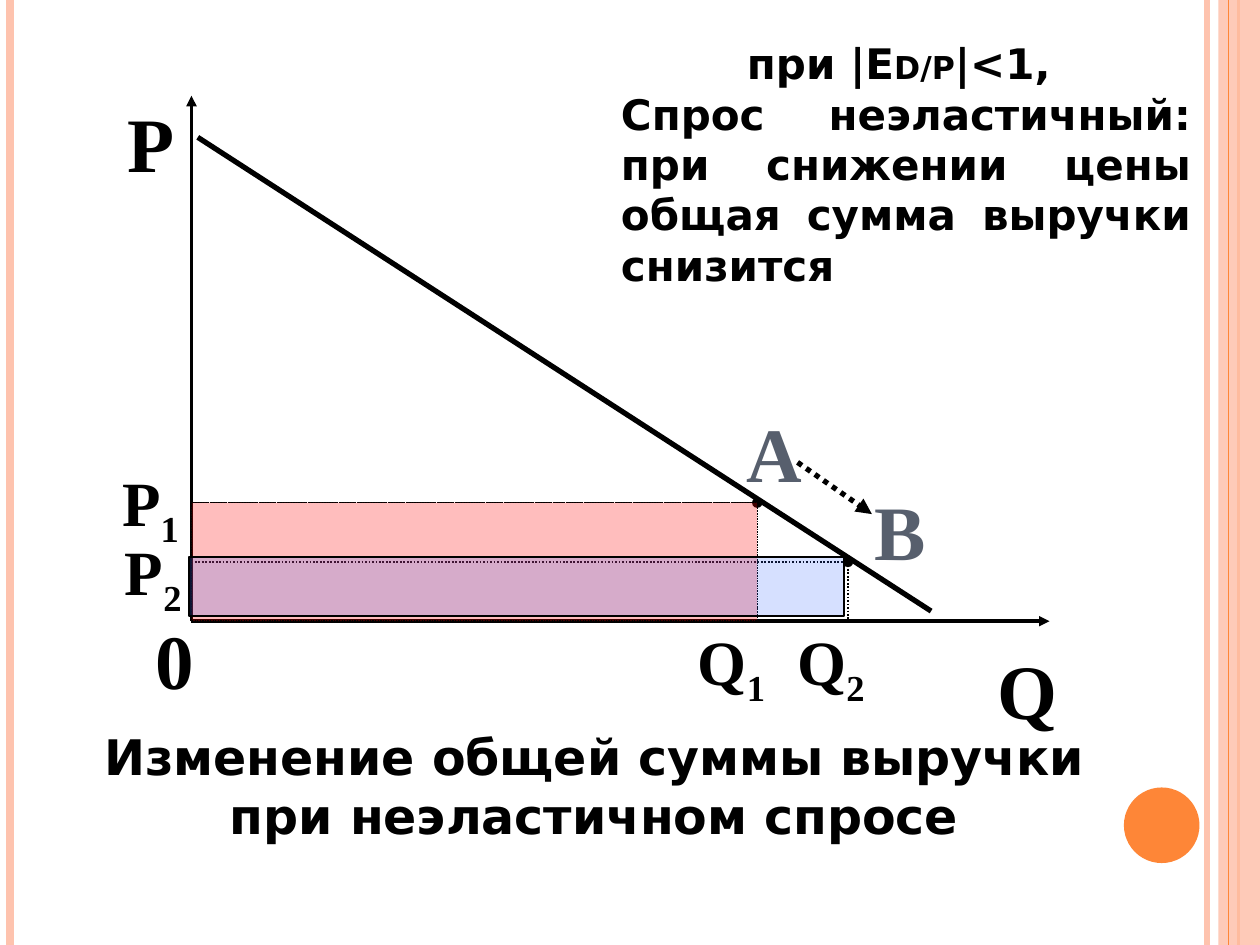
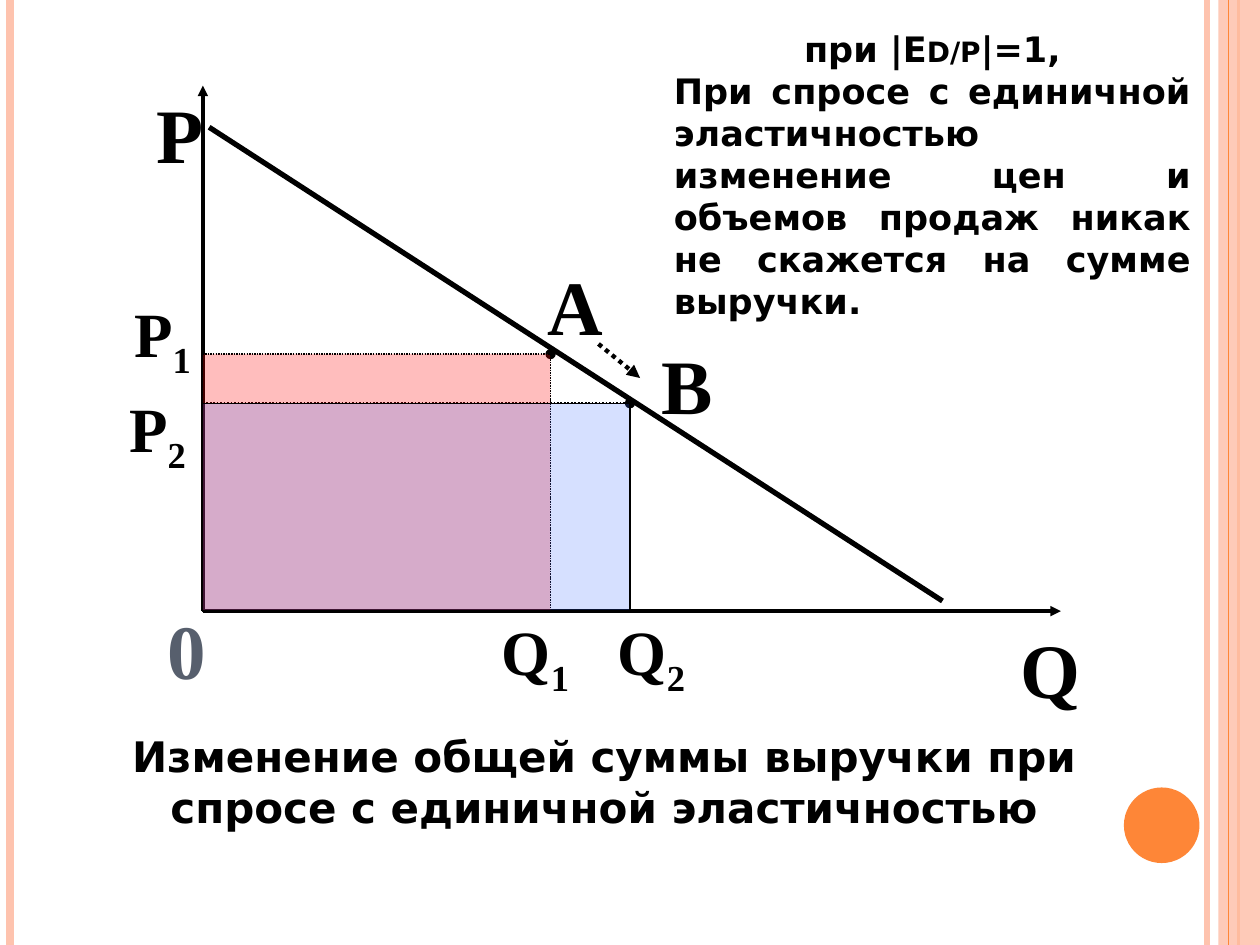
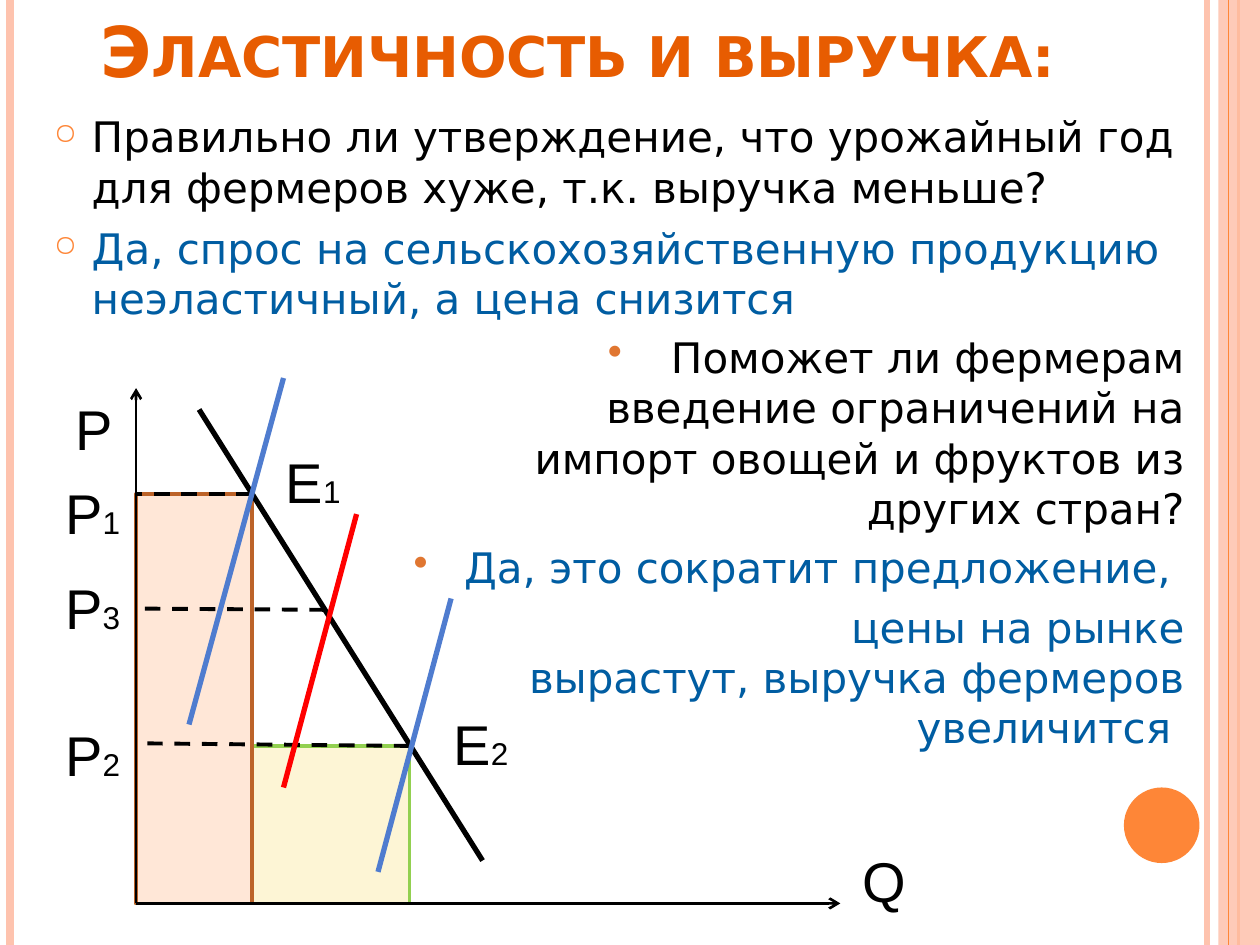
from lxml import etree
from pptx import Presentation
from pptx.dml.color import RGBColor
from pptx.enum.dml import MSO_LINE
from pptx.enum.shapes import MSO_CONNECTOR, MSO_SHAPE
from pptx.enum.text import MSO_ANCHOR, MSO_AUTO_SIZE, PP_ALIGN
from pptx.oxml.ns import qn
from pptx.util import Inches, Pt

INK = {
    "black": "000000", "slate": "575F6D", "pink": "FEC3AE", "orange": "FE8637",
    "title": "E75C01", "answer": "005DA2", "dot": "E07631", "red": "FF0000",
    "blue": "3366FF", "supply": "4F7CCF", "cream": "FDF5D5", "green": "92D050",
    "peach": "FFE7D7", "rust": "BC6329",
}
SANS, SERIF, ARIAL = "DejaVu Sans", "Times New Roman", "Arial"
DOT, DASH = MSO_LINE.ROUND_DOT, MSO_LINE.DASH
TIGHT = (0.02, 0.01)
ROOMY = (0.1, 0.05)


def color(name):
    return RGBColor.from_string(INK[name])


# Lines and shapes
def line(slide, start, end, width, ink="black", dash=None, head=None, tail=None):
    ends = [Inches(v) for v in (*start, *end)]
    link = slide.shapes.add_connector(MSO_CONNECTOR.STRAIGHT, *ends)
    link.line.color.rgb = color(ink)
    link.line.width = Pt(width)
    if dash:
        link.line.dash_style = dash
    stroke = link._element.spPr.find(qn("a:ln"))
    for tag, kind in (("a:headEnd", head), ("a:tailEnd", tail)):
        if kind:
            etree.SubElement(stroke, qn(tag)).set("type", kind)
    etree.SubElement(link._element.spPr, qn("a:effectLst"))


def block(slide, box, fill, alpha=None, edge=None, width=0.75, dash=None,
          kind=MSO_SHAPE.RECTANGLE):
    shape = slide.shapes.add_shape(kind, *[Inches(v) for v in box])
    shape.shadow.inherit = False
    shape.fill.solid()
    shape.fill.fore_color.rgb = color(fill)
    if alpha:
        tint = shape._element.spPr.find(qn("a:solidFill"))[0]
        etree.SubElement(tint, qn("a:alpha")).set("val", str(alpha * 1000))
    if edge:
        shape.line.color.rgb = color(edge)
        shape.line.width = Pt(width)
        if dash:
            shape.line.dash_style = dash
    else:
        shape.line.fill.background()


# Text
def frame(slide, box, inset=ROOMY, wrap=True):
    text = slide.shapes.add_textbox(*[Inches(v) for v in box]).text_frame
    text.word_wrap = wrap
    if not wrap:
        text.auto_size = MSO_AUTO_SIZE.SHAPE_TO_FIT_TEXT
    text.margin_left = text.margin_right = Inches(inset[0])
    text.margin_top = text.margin_bottom = Inches(inset[1])
    return text


def style(para, face, size, ink="black", bold=False, align=PP_ALIGN.LEFT):
    para.alignment = align
    para.font.name = face
    para.font.size = Pt(size)
    para.font.bold = bold
    para.font.color.rgb = color(ink)


def label(slide, box, name, size=44, ink="black", inset=TIGHT):
    """Serif letter; a second character becomes a subscript."""
    para = frame(slide, box, inset).paragraphs[0]
    style(para, SERIF, size, ink, True, PP_ALIGN.CENTER)
    para.add_run().text = name[0]
    if name[1:]:
        sub = para.add_run()
        sub.text = name[1:]
        sub._r.get_or_add_rPr().set("baseline", "-25000")


def tag(slide, box, name):
    """Arial letter; a second character is set smaller."""
    para = frame(slide, box, wrap=False).paragraphs[0]
    style(para, ARIAL, 32)
    for char, size in zip(name, (32, 18)):
        run = para.add_run()
        run.text = char
        run.font.size = Pt(size)


def caption(slide, box, words, size):
    para = frame(slide, box).paragraphs[0]
    para.text = words
    style(para, SANS, size, bold=True, align=PP_ALIGN.CENTER)


def claim(slide, box, sign, words, size, small, align, indent=0):
    """Elasticity condition above its justified explanation."""
    text = frame(slide, box)
    top, rest = text.paragraphs[0], text.add_paragraph()
    style(top, SANS, size, bold=True, align=align)
    top._p.get_or_add_pPr().set("indent", str(Inches(indent)))
    for part, height in (("при |E", size), ("D/P", small), (sign, size)):
        run = top.add_run()
        run.text = part
        run.font.size = Pt(height)
    rest.text = words
    style(rest, SANS, size, bold=True, align=PP_ALIGN.JUSTIFY)


def bullet(para, left, hang, char=None, ink="orange", scale=100):
    props = para._p.get_or_add_pPr()
    props.set("marL", str(Inches(left)))
    props.set("indent", str(Inches(-hang)))
    if char:
        # Bullet marks must come before the default run properties
        marks = [etree.Element(qn(n)) for n in ("a:buClr", "a:buSzPct", "a:buChar")]
        etree.SubElement(marks[0], qn("a:srgbClr")).set("val", INK[ink])
        marks[1].set("val", str(scale * 1000))
        marks[2].set("char", char)
        last = props.find(qn("a:defRPr"))
        for mark in marks:
            last.addprevious(mark)


# Bands and disc on every slide
def decor(slide):
    for x, width, ink in ((9.58, 3, "pink"), (0.08, 4.5, "pink"), (9.83, 1.5, "orange")):
        line(slide, (x, 0), (x, 7.5), width, ink)
    block(slide, (9.67, 0, 0.33, 7.5), "pink", 87)
    line(slide, (9.75, 0), (9.75, 7.5), 0.75, "orange")
    block(slide, (8.92, 6.25, 0.6, 0.6), "orange", kind=MSO_SHAPE.OVAL)


# Demand graph with revenue areas at points A and B
def graph(slide, zero, a, b, area):
    x, y = zero
    for end in ((x, y - 4.17), (x + 6.81, y)):
        line(slide, zero, end, 2, tail="triangle")
    line(slide, (x + 0.05, y - 3.84), (x + 5.87, y - 0.08), 3)
    for (q, p), width in ((a, 0.75), (b, 1)):
        line(slide, (x, p), (q, p), width, dash=DOT, tail="oval")
        line(slide, (q, p), (q, y), width, dash=DOT)
    block(slide, (x, a[1], a[0] - x, y - a[1]), "red", 26, "black", dash=DOT)
    block(slide, area, "blue", 20, "black")


def labels(slide, spots):
    for name, left, top, width in spots:
        label(slide, (left, top, width, 0.63), name, 36 if name[1:] else 44)


def rigid(deck):
    slide = deck.slides.add_slide(deck.slide_layouts[6])
    decor(slide)
    graph(slide, (1.52, 4.93), (6.01, 3.99), (6.73, 4.46), (1.5, 4.42, 5.2, 0.47))
    labels(slide, (
        ("P", 0.99, 0.75, 0.36), ("P1", 0.9, 3.67, 0.59), ("P2", 0.92, 4.22, 0.59),
        ("0", 1.21, 4.85, 0.36), ("Q1", 5.4, 4.93, 0.81), ("Q2", 6.25, 4.93, 0.69),
        ("Q", 7.9, 5.09, 0.36)))
    label(slide, (6.92, 3.83, 0.36, 0.62), "B", ink="slate")
    line(slide, (6.33, 3.67), (6.92, 4.08), 3, dash=DOT, tail="triangle")
    label(slide, (5.83, 3.17, 0.55, 0.4), "А", ink="slate", inset=ROOMY)
    caption(slide, (0.5, 5.72, 8.43, 1.04),
            "Изменение общей суммы выручки при неэластичном спросе", 28)
    claim(slide, (4.83, 0.25, 4.72, 2.12), "|<1,",
          "Cпрос неэластичный: при снижении цены общая сумма выручки снизится",
          24, 18, PP_ALIGN.LEFT, 1)


def unit(deck):
    slide = deck.slides.add_slide(deck.slide_layouts[6])
    decor(slide)
    graph(slide, (1.61, 4.85), (4.37, 2.81), (5, 3.2), (1.61, 3.2, 3.39, 1.65))
    labels(slide, (
        ("P", 1.22, 0.68, 0.36), ("P1", 1, 2.33, 0.58), ("P2", 0.92, 3.08, 0.66),
        ("Q1", 3.92, 4.85, 0.66), ("Q2", 4.84, 4.85, 0.66), ("Q", 8.08, 4.92, 0.36)))
    label(slide, (1.3, 4.77, 0.36, 0.63), "0", ink="slate")
    label(slide, (5.23, 2.67, 0.27, 0.43), "B")
    line(slide, (4.75, 2.73), (5.08, 3), 2.5, dash=DOT, tail="triangle")
    label(slide, (4.25, 2, 0.47, 0.84), "А", inset=ROOMY)
    caption(slide, (0.58, 5.75, 8.43, 0.91),
            "Изменение общей суммы выручки при спросе с единичной эластичностью", 24)
    claim(slide, (5.25, 0.17, 4.3, 2.46), "|=1,",
          "При спросе с единичной эластичностью изменение цен и объемов продаж "
          "никак не скажется на сумме выручки.", 20, 16, PP_ALIGN.CENTER)


def farms(deck):
    slide = deck.slides.add_slide(deck.slide_layouts[5])
    decor(slide)
    block(slide, (1.08, 5.92, 2.17, 1.25), "cream", edge="green", width=2)
    block(slide, (1.08, 3.92, 0.92, 3.25), "peach", edge="rust", width=2)

    # Title
    title = slide.shapes.title
    title.left, title.top, title.width, title.height = [
        Inches(v) for v in (0.5, 0, 8.17, 0.78)]
    text = title.text_frame
    text.auto_size = MSO_AUTO_SIZE.NONE
    text.vertical_anchor = MSO_ANCHOR.BOTTOM
    para = text.paragraphs[0]
    para.text = "Эластичность и выручка:"
    style(para, SANS, 40, "title", True, PP_ALIGN.CENTER)
    para.runs[0]._r.get_or_add_rPr().set("cap", "small")

    # Questions and answers
    ring, dot = ("○", "orange", 70), ("•", "dot")
    left, right = PP_ALIGN.LEFT, PP_ALIGN.RIGHT
    rows = (
        ("Правильно ли утверждение, что урожайный год для фермеров хуже, "
         "т.к. выручка меньше?", "black", left, 6, 0.3, 0.3, ring),
        ("Да, спрос на сельскохозяйственную продукцию неэластичный, "
         "а цена снизится", "answer", left, 6, 0.3, 0.3, ring),
        ("Поможет ли фермерам введение ограничений на импорт овощей и фруктов "
         "из других стран?", "black", right, 5, 3.5, 0.5, dot),
        ("Да, это сократит предложение, ", "answer", right, 5, 2.8, 0.4, dot),
        ("цены на рынке\vвырастут, выручка фермеров увеличится ",
         "answer", right, 5, 3.5, 0, ()),
    )
    text = frame(slide, (0.33, 0.83, 9.17, 5.33))
    for i, (words, ink, align, gap, margin, hang, mark) in enumerate(rows):
        para = text.add_paragraph() if i else text.paragraphs[0]
        para.text = words
        style(para, SANS, 24, ink, align=align)
        para.space_before = Pt(gap)
        bullet(para, margin, hang, *mark)

    # Axes, demand, supply and price levels
    for end in ((1.08, 3.08), (6.67, 7.17)):
        line(slide, (1.08, 7.17), end, 1.5, tail="arrow")
    line(slide, (1.58, 3.25), (3.83, 6.83), 3)
    for start, end in (((2, 3.92), (1.08, 3.92)), ((3.25, 5.92), (1.17, 5.9)),
                       ((2.58, 4.84), (1.08, 4.83))):
        line(slide, start, end, 2.25, dash=DASH)
    for start, end, ink in (((3, 6.92), (3.58, 4.75), "supply"),
                            ((1.5, 5.75), (2.25, 3), "supply"),
                            ((2.25, 6.25), (2.83, 4.08), "red")):
        line(slide, start, end, 3, ink)
    for name, x, y, width in (
            ("P", 0.5, 3.08, 0.5), ("Q", 6.75, 6.67, 0.55), ("E1", 2.17, 3.5, 0.66),
            ("E2", 3.5, 5.58, 0.64), ("P1", 0.42, 3.75, 0.64),
            ("P2", 0.42, 5.67, 0.64), ("P3", 0.42, 4.5, 0.64)):
        tag(slide, (x, y, width, 0.64), name)


def main():
    deck = Presentation()
    deck.slide_width, deck.slide_height = Inches(10), Inches(7.5)
    for build in (rigid, unit, farms):
        build(deck)
    deck.save("out.pptx")


if __name__ == "__main__":
    main()
